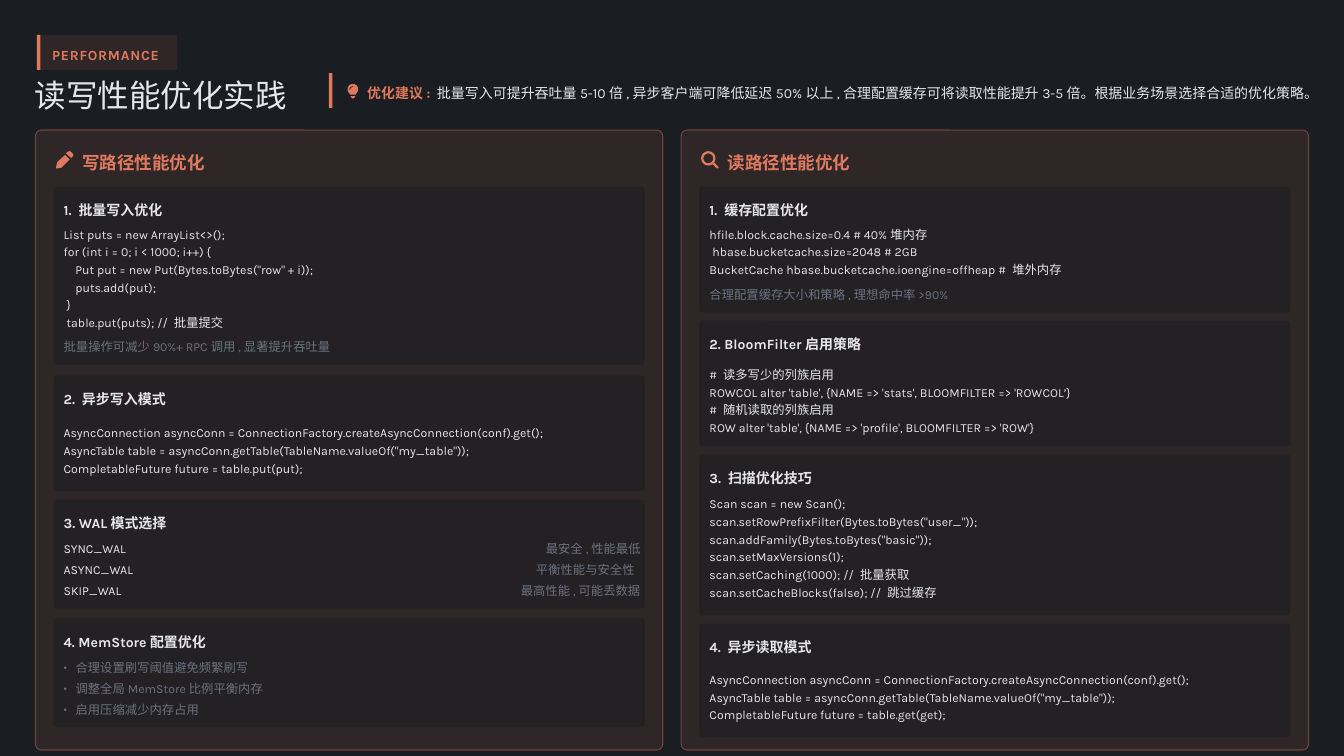
import math
from dataclasses import dataclass

from lxml import etree
from pptx import Presentation
from pptx import util as u
from pptx.dml.color import RGBColor
from pptx.enum import shapes, text
from pptx.oxml.ns import qn

COLORS = {"night": "1A1D21", "coral": "E07A5F", "light": "E5E7EB", "grey": "6B7280"}
LATIN, CJK = "Karla", "Noto Sans CJK SC"
SMALL, MEDIUM, LARGE = 11.7, 13.3, 16.7
CARD_WIDTH, TEXT_WIDTH, INSET = 19.86, 19.4, 0.34
CODE_OFFSET, ROW_PITCH, ROW_HEIGHT = 1.27, 0.7, 0.58
ICON_UNIT = 0.0254


@dataclass
class Card:
    top: float
    height: float
    heading: str
    code: str = ""
    code_height: float = 0
    hint: str = ""


@dataclass
class Panel:
    left: float
    title: str
    icon: list
    cards: list


@dataclass
class WalMode:
    name: str
    effect: str
    effect_left: float


def arc(x: float, y: float, radius: float, start: int = 0, end: int = 360) -> list:
    return [(x + radius * math.cos(math.radians(a)), y + radius * math.sin(math.radians(a)))
            for a in range(start, end + 1, 15)]


PENCIL = [
    [(16, 1), (14, 3), (21, 9), (23, 7), (24, 5), (23, 3), (21, 1), (19, 0), (17, 0.5)],
    [(13, 5), (3, 14), (2, 16), (1, 22), (1.5, 23), (8, 22), (9, 21), (19, 11)],
]
MAGNIFIER = [
    arc(9.5, 9.5, 9.5),
    arc(9.5, 9.5, 6.5),
    [(17.2, 15), (22.5, 20.5), (23, 22), (22, 23), (20.5, 22.5), (15, 17.2)],
]
BULB = [
    arc(7, 7, 7, 135, 405) + [(11, 14), (3, 14)],
    [(10, 16), (4, 16), (4, 17), (6, 19), (8, 19), (10, 17)],
    [(2, 7.5), (3, 4.5), (7, 2.7), (8, 3.3), (7, 4), (4.2, 5.3), (3.5, 7.7)],
]

ASYNC_CODE = """AsyncConnection asyncConn = ConnectionFactory.createAsyncConnection(conf).get();
AsyncTable table = asyncConn.getTable(TableName.valueOf("my_table"));
CompletableFuture future = table."""
WRITE_CODE = """List puts = new ArrayList<>();
for (int i = 0; i < 1000; i++) {
    Put put = new Put(Bytes.toBytes("row" + i));
    puts.add(put);
 }
 table.put(puts); // 批量提交"""
CACHE_CODE = """hfile.block.cache.size=0.4 # 40%堆内存
 hbase.bucketcache.size=2048 # 2GB
BucketCache hbase.bucketcache.ioengine=offheap # 堆外内存"""
BLOOM_CODE = """# 读多写少的列族启用
ROWCOL alter 'table', {NAME => 'stats', BLOOMFILTER => 'ROWCOL’}
# 随机读取的列族启用
ROW alter 'table', {NAME => 'profile', BLOOMFILTER => 'ROW'}"""
SCAN_CODE = """Scan scan = new Scan();
scan.setRowPrefixFilter(Bytes.toBytes("user_"));
scan.addFamily(Bytes.toBytes("basic"));
scan.setMaxVersions(1);
scan.setCaching(1000); // 批量获取
scan.setCacheBlocks(false); // 跳过缓存"""

WAL_CARD = Card(16.79, 3.65, "3. WAL模式选择")
MEMSTORE_CARD = Card(20.78, 3.65, "4. MemStore配置优化")
PANELS = [
    Panel(1.19, "写路径性能优化", PENCIL, [
        Card(6.27, 5.99, "1. 批量写入优化", WRITE_CODE, 3.53, "批量操作可减少90%+ RPC调用,显著提升吞吐量"),
        Card(12.62, 3.89, "2. 异步写入模式", ASYNC_CODE + "put(put);", 2.41),
        WAL_CARD,
        MEMSTORE_CARD,
    ]),
    Panel(22.89, "读路径性能优化", MAGNIFIER, [
        Card(6.27, 4.23, "1. 缓存配置优化", CACHE_CODE, 1.75, "合理配置缓存大小和策略,理想命中率>90%"),
        Card(10.77, 4.23, "2. BloomFilter启用策略", BLOOM_CODE, 2.77),
        Card(15.27, 5.41, "3. 扫描优化技巧", SCAN_CODE, 3.66),
        Card(20.96, 3.81, "4. 异步读取模式", ASYNC_CODE + "get(get);", 2.29),
    ]),
]
WAL_MODES = [
    WalMode("SYNC_WAL", "最安全,性能最低", 18.34),
    WalMode("ASYNC_WAL", "平衡性能与安全性", 18.01),
    WalMode("SKIP_WAL", "最高性能,可能丢数据", 17.5),
]
MEMSTORE_TIPS = ["合理设置刷写阈值避免频繁刷写", "调整全局MemStore比例平衡内存", "启用压缩减少内存占用"]


def rgb(name: str) -> RGBColor:
    return RGBColor.from_string(COLORS[name])


def style_span(span, size: float, color: str, bold: bool = False, font: str = LATIN) -> None:
    span.font.size, span.font.bold, span.font.name = u.Pt(size), bold, font
    span.font.color.rgb = rgb(color)
    etree.SubElement(span.font._element, qn("a:ea"), typeface=font)


def fill_box(box, content: str, size: float, color: str, bold: bool = False,
             spacing: float = 1.2, font: str = LATIN) -> None:
    frame = box.text_frame
    frame.text = content
    frame.word_wrap, frame.auto_size = True, text.MSO_AUTO_SIZE.NONE
    frame.vertical_anchor = text.MSO_ANCHOR.MIDDLE
    frame.margin_left = frame.margin_right = frame.margin_top = frame.margin_bottom = 0
    for para in frame.paragraphs:
        para.alignment, para.line_spacing = text.PP_ALIGN.LEFT, spacing
        para.space_before = u.Pt(0)
        for span in para.runs:
            style_span(span, size, color, bold, font)


def place(box, left: float, top: float, width: float, height: float) -> None:
    box.left, box.top, box.width, box.height = (u.Cm(v) for v in (left, top, width, height))


def add_label(page, left: float, top: float, width: float, height: float, content: str, *style):
    box = page.shapes.add_textbox(u.Cm(left), u.Cm(top), u.Cm(width), u.Cm(height))
    fill_box(box, content, *style)
    return box


def paint(shape, color: str, fill_alpha: int = 100, line_alpha: int = 0) -> None:
    """Fill the shape and outline it if line_alpha is above zero; alphas are percentages."""
    shape.shadow.inherit = False
    shape.fill.solid()
    shape.fill.fore_color.rgb = rgb(color)
    if line_alpha:
        shape.line.color.rgb, shape.line.width = rgb(color), u.Pt(1)
    else:
        shape.line.fill.background()
    tints = shape._element.spPr.iter(qn("a:srgbClr"))
    for tint, alpha in zip(list(tints), (fill_alpha, line_alpha)):
        etree.SubElement(tint, qn("a:alpha"), val=str(alpha * 1000))


def add_block(page, left: float, top: float, width: float, height: float, color: str,
              fill_alpha: int = 100, line_alpha: int = 0, radius: float = 0) -> None:
    kind = shapes.MSO_SHAPE.ROUNDED_RECTANGLE if radius else shapes.MSO_SHAPE.RECTANGLE
    block = page.shapes.add_shape(kind, u.Cm(left), u.Cm(top), u.Cm(width), u.Cm(height))
    if radius:
        block.adjustments[0] = radius / min(width, height)
    paint(block, color, fill_alpha, line_alpha)


def add_icon(page, left: float, top: float, contours: list) -> None:
    outlines = [[(u.Cm(left + x * ICON_UNIT), u.Cm(top + y * ICON_UNIT)) for x, y in contour]
                for contour in contours]
    builder = page.shapes.build_freeform(*outlines[0][0])
    for outline in outlines:
        builder.move_to(*outline[0])
        builder.add_line_segments(outline[1:], close=True)
    paint(builder.convert_to_shape(), "coral")


def add_card(page, left: float, card: Card) -> None:
    add_block(page, left, card.top, CARD_WIDTH, card.height, "night", 50, radius=0.11)
    x = left + INSET
    add_label(page, x, card.top + INSET, TEXT_WIDTH, 0.71, card.heading, MEDIUM, "light", True, 1.3)
    if card.code:
        add_label(page, x, card.top + CODE_OFFSET, TEXT_WIDTH, card.code_height, card.code, SMALL, "light")
    if card.hint:
        add_label(page, x, card.top + card.height - 0.94, TEXT_WIDTH, ROW_HEIGHT, card.hint, SMALL, "grey")


def add_panel(page, panel: Panel) -> None:
    top = 4.37
    add_block(page, panel.left, top, 21.08, 20.83, "coral", 10, 40, 0.2)
    add_icon(page, panel.left + 0.67, top + 0.71, panel.icon)
    add_label(page, panel.left + 1.57, top + 0.61, 4.6, 0.81, panel.title, LARGE, "coral", True)
    for card in panel.cards:
        add_card(page, panel.left + 0.61, card)


def add_header(page) -> None:
    add_block(page, 1.24, 1.17, 4.72, 1.18, "coral", 10)
    add_block(page, 1.24, 1.17, 0.12, 1.18, "coral")
    tag = add_label(page, 1.75, 1.45, 3.96, 0.61, "PERFORMANCE", MEDIUM, "coral", True, 1.3)
    tag.text_frame.paragraphs[0].runs[0].font._element.set("spc", "70")
    place(page.shapes.title, 1.17, 2.69, 9, 1.17)
    fill_box(page.shapes.title, "读写性能优化实践", 30, "light", False, 0.9, CJK)
    add_block(page, 11.05, 2.46, 0.12, 1.17, "coral")
    add_icon(page, 11.68, 2.82, BULB)
    advice = add_label(page, 12.34, 2.69, 32.6, 0.71, "优化建议:", MEDIUM, "coral", True, 1.3)
    span = advice.text_frame.paragraphs[0].add_run()
    span.text = (" 批量写入可提升吞吐量5-10倍,异步客户端可降低延迟50%以上,"
                 "合理配置缓存可将读取性能提升3-5倍。根据业务场景选择合适的优化策略。")
    style_span(span, MEDIUM, "light")


def add_memstore_list(page, body, left: float) -> None:
    place(body, left, MEMSTORE_CARD.top + 1.3, TEXT_WIDTH, 2)
    fill_box(body, "\n".join(MEMSTORE_TIPS), SMALL, "grey")
    for index, para in enumerate(body.text_frame.paragraphs):
        para.space_before = u.Pt(3.3 if index else 0)
        props = para._p.get_or_add_pPr()
        props.set("marL", str(u.Cm(0.4)))
        props.set("indent", str(-u.Cm(0.4)))
        etree.SubElement(props, qn("a:buFont"), typeface=LATIN)
        etree.SubElement(props, qn("a:buChar"), char="•")
    page.shapes._spTree.append(body._element)


def main() -> None:
    deck = Presentation()
    deck.slide_width, deck.slide_height = u.Cm(45.16), u.Cm(25.4)
    page = deck.slides.add_slide(deck.slide_layouts[1])
    page.background.fill.solid()
    page.background.fill.fore_color.rgb = rgb("night")
    add_header(page)
    for panel in PANELS:
        add_panel(page, panel)
    text_left = PANELS[0].left + 0.61 + INSET
    for row, mode in enumerate(WAL_MODES):
        top = WAL_CARD.top + 1.3 + row * ROW_PITCH
        add_label(page, text_left, top, 3, ROW_HEIGHT, mode.name, SMALL, "light")
        add_label(page, mode.effect_left, top, 4.3, ROW_HEIGHT, mode.effect, SMALL, "grey")
    add_memstore_list(page, page.placeholders[1], text_left)
    deck.save("out.pptx")


if __name__ == "__main__":
    main()
